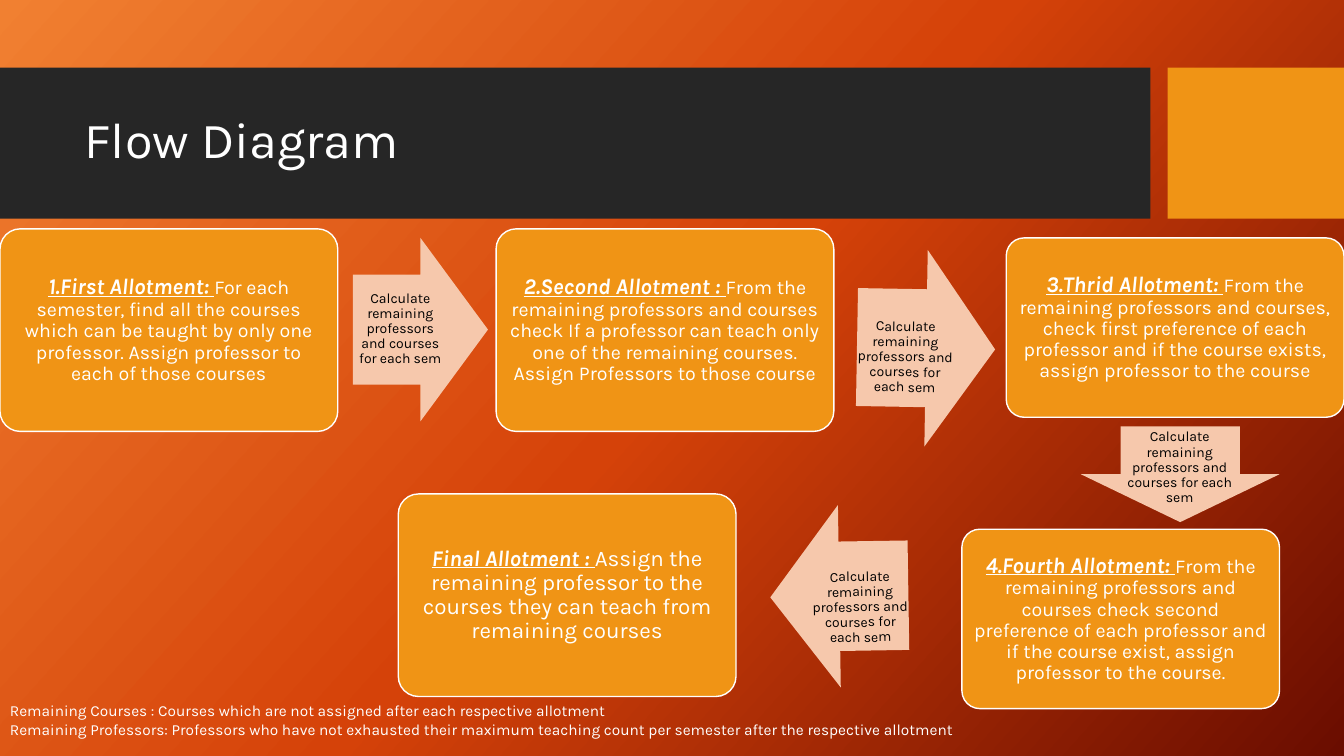
"""Build a slide showing the flow of course allotment."""
from copy import deepcopy
from dataclasses import dataclass

from pptx import Presentation
from pptx.dml.color import RGBColor
from pptx.enum.shapes import MSO_SHAPE
from pptx.enum.text import MSO_ANCHOR, PP_ALIGN
from pptx.oxml.ns import qn
from pptx.shapes.autoshape import Shape
from pptx.slide import Slide
from pptx.text.text import TextFrame, _Paragraph
from pptx.util import Inches, Pt

RECT = MSO_SHAPE.RECTANGLE
ROUND = MSO_SHAPE.ROUNDED_RECTANGLE
ARROW = MSO_SHAPE.RIGHT_ARROW
CENTER = PP_ALIGN.CENTER
LEFT = PP_ALIGN.LEFT
MIDDLE = MSO_ANCHOR.MIDDLE
TOP = MSO_ANCHOR.TOP

Box = tuple[float, float, float, float]


@dataclass(frozen=True)
class Theme:
    font: str = "Karla"
    white: str = "FFFFFF"
    black: str = "000000"
    dark: str = "262626"
    orange: str = "F09415"
    peach: str = "F6C8AC"
    glow: tuple[str, ...] = ("F18031", "D54209", "6A0D00")
    angle: int = 42
    title: int = 36
    head: int = 16
    body: int = 14
    note: int = 11
    label: int = 10


@dataclass(frozen=True)
class Step:
    box: Box
    head: str
    body: str
    size: int


@dataclass(frozen=True)
class Move:
    box: Box
    turn: float
    text_box: Box
    tilt: float = 0
    drop: float = 0


THEME = Theme()
LABEL = "Calculate remaining professors and courses for each sem"

STEPS = [
    Step((0, 2.27, 3.35, 2.01), "1.First Allotment: ",
         "For each semester, find all the courses which can be taught by only "
         "one professor. Assign professor to each of those courses", THEME.body),
    Step((4.92, 2.27, 3.35, 2.01), "2.Second Allotment : ",
         "From the remaining professors and courses check If a professor can teach "
         "only one of the remaining courses. Assign Professors to those course",
         THEME.body),
    Step((9.98, 2.36, 3.35, 1.78), "3.Thrid Allotment: ",
         "From the remaining professors and courses, check first preference of each "
         "professor and if the course exists, assign professor to the course",
         THEME.body),
    Step((9.54, 5.25, 3.15, 1.78), "4.Fourth Allotment: ",
         "From the remaining professors and courses check second preference of each "
         "professor and if the course exist, assign professor to the course.",
         THEME.body),
    Step((3.95, 4.9, 3.35, 2.01), "Final Allotment : ",
         "Assign the remaining professor to the courses they can teach from "
         "remaining courses", THEME.head),
]

MOVES = [
    Move((3.5, 2.36, 1.34, 1.82), 0, (3.5, 2.72, 0.94, 1.09)),
    Move((8.5, 2.48, 1.37, 1.95), 1, (8.5, 2.86, 0.96, 1.17), 1, 0.2),
    Move((11.23, 3.72, 0.95, 1.97), 90, (11.11, 4.23, 1.18, 0.66), 0, 0.16),
    Move((7.64, 5.01, 1.37, 1.81), 179.1, (8.05, 5.37, 0.96, 1.09), 359.1, 0.22),
]

NOTES = [
    "Remaining Courses : Courses which are not assigned after each respective allotment",
    "Remaining Professors: Professors who have not exhausted their maximum teaching "
    "count per semester after the respective allotment",
]


def paint_back(slide: Slide) -> None:
    fill = slide.background.fill
    fill.gradient()
    fill.gradient_angle = 360 - THEME.angle
    stops = next(slide.element.iter(qn("a:gsLst")))
    stops.append(deepcopy(stops[0]))
    for i, (stop, color) in enumerate(zip(fill.gradient_stops, THEME.glow)):
        stop.color.rgb = RGBColor.from_string(color)
        stop.position = i / 2


def add_block(slide: Slide, kind: MSO_SHAPE, box: Box, color: str) -> Shape:
    block = slide.shapes.add_shape(kind, *map(Inches, box))
    block.shadow.inherit = False
    block.fill.solid()
    block.fill.fore_color.rgb = RGBColor.from_string(color)
    block.line.fill.background()
    return block


def set_frame(frame: TextFrame, anchor: MSO_ANCHOR, pad: float) -> None:
    frame.word_wrap = True
    frame.vertical_anchor = anchor
    frame.margin_left = frame.margin_right = Inches(pad)
    frame.margin_top = frame.margin_bottom = Inches(pad)


def set_line(line: _Paragraph, align: PP_ALIGN, space: float) -> None:
    line.alignment = align
    line.line_spacing = space


def add_run(line: _Paragraph, text: str, size: int, color: str,
            strong: bool = False) -> None:
    run = line.add_run()
    run.text = text
    font = run.font
    font.name = THEME.font
    font.size = Pt(size)
    font.color.rgb = RGBColor.from_string(color)
    font.bold = font.italic = font.underline = strong


def add_text(slide: Slide, box: Box, anchor: MSO_ANCHOR, pad: float) -> Shape:
    text = slide.shapes.add_textbox(*map(Inches, box))
    set_frame(text.text_frame, anchor, pad)
    return text


def add_step(slide: Slide, step: Step) -> None:
    block = add_block(slide, ROUND, step.box, THEME.orange)
    block.adjustments[0] = 0.1
    block.line.color.rgb = RGBColor.from_string(THEME.white)
    block.line.width = Pt(1)
    set_frame(block.text_frame, MIDDLE, 0.07)
    line = block.text_frame.paragraphs[0]
    set_line(line, CENTER, 0.9)
    add_run(line, step.head, THEME.head, THEME.white, True)
    add_run(line, step.body, step.size, THEME.white)


def add_move(slide: Slide, move: Move) -> None:
    arrow = add_block(slide, ARROW, move.box, THEME.peach)
    arrow.adjustments[0] = 0.6
    arrow.adjustments[1] = 0.5
    arrow.rotation = move.turn
    label = add_text(slide, move.text_box, MIDDLE, 0)
    label.rotation = move.tilt
    label.text_frame.margin_top = Inches(move.drop)
    line = label.text_frame.paragraphs[0]
    set_line(line, CENTER, 0.9)
    add_run(line, LABEL, THEME.label, THEME.black)


def add_title(slide: Slide) -> None:
    add_block(slide, RECT, (0, 0.67, 11.41, 1.5), THEME.dark)
    add_block(slide, RECT, (11.58, 0.67, 1.75, 1.5), THEME.orange)
    title = add_text(slide, (0.74, 0.82, 10.51, 1.18), MIDDLE, 0.1)
    line = title.text_frame.paragraphs[0]
    set_line(line, LEFT, 0.9)
    add_run(line, "Flow Diagram", THEME.title, THEME.white)


def add_notes(slide: Slide) -> None:
    frame = add_text(slide, (0, 6.91, 10.84, 0.47), TOP, 0.1).text_frame
    frame.margin_top = frame.margin_bottom = Inches(0.05)
    for i, note in enumerate(NOTES):
        line = frame.add_paragraph() if i else frame.paragraphs[0]
        set_line(line, LEFT, 1.0)
        add_run(line, note, THEME.note, THEME.white)


def main() -> None:
    deck = Presentation()
    deck.slide_width, deck.slide_height = Inches(13.33), Inches(7.5)
    slide = deck.slides.add_slide(deck.slide_layouts[6])
    paint_back(slide)
    add_title(slide)
    for step in STEPS:
        add_step(slide, step)
    for move in MOVES:
        add_move(slide, move)
    add_notes(slide)
    deck.save("out.pptx")


if __name__ == "__main__":
    main()
